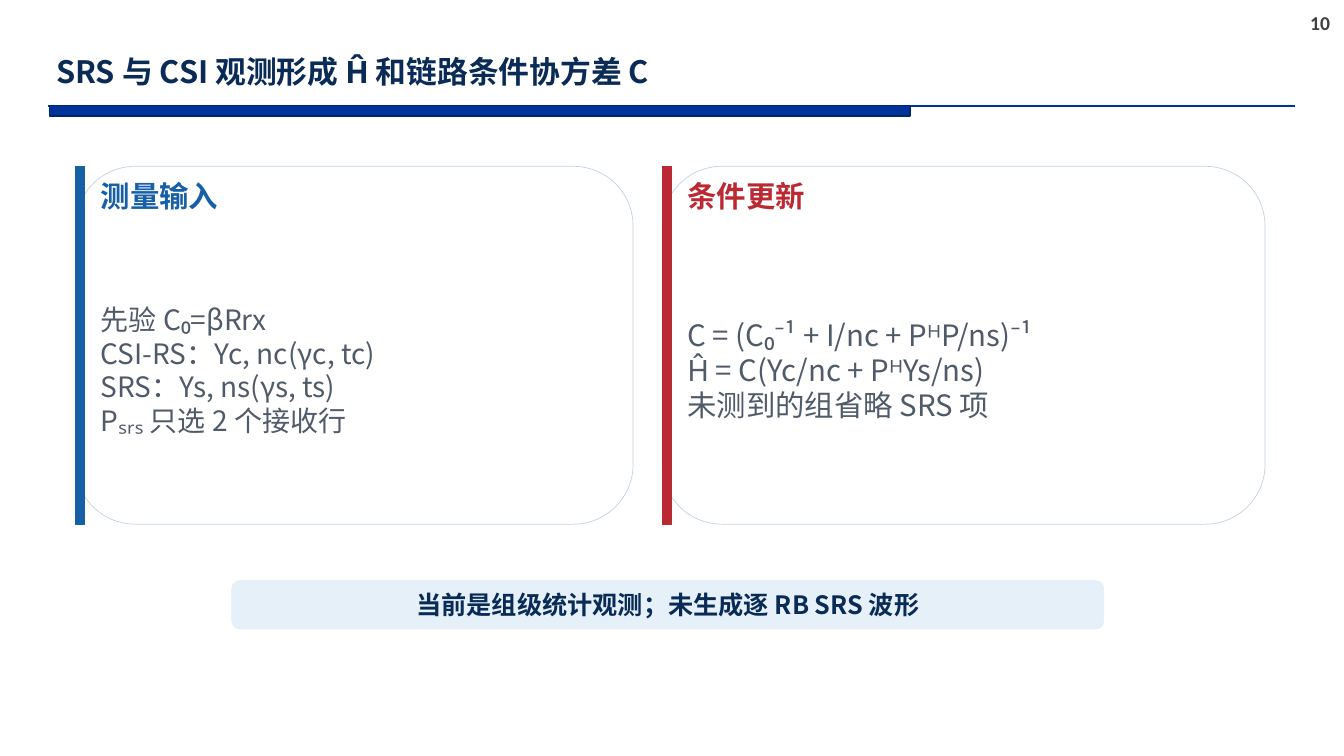
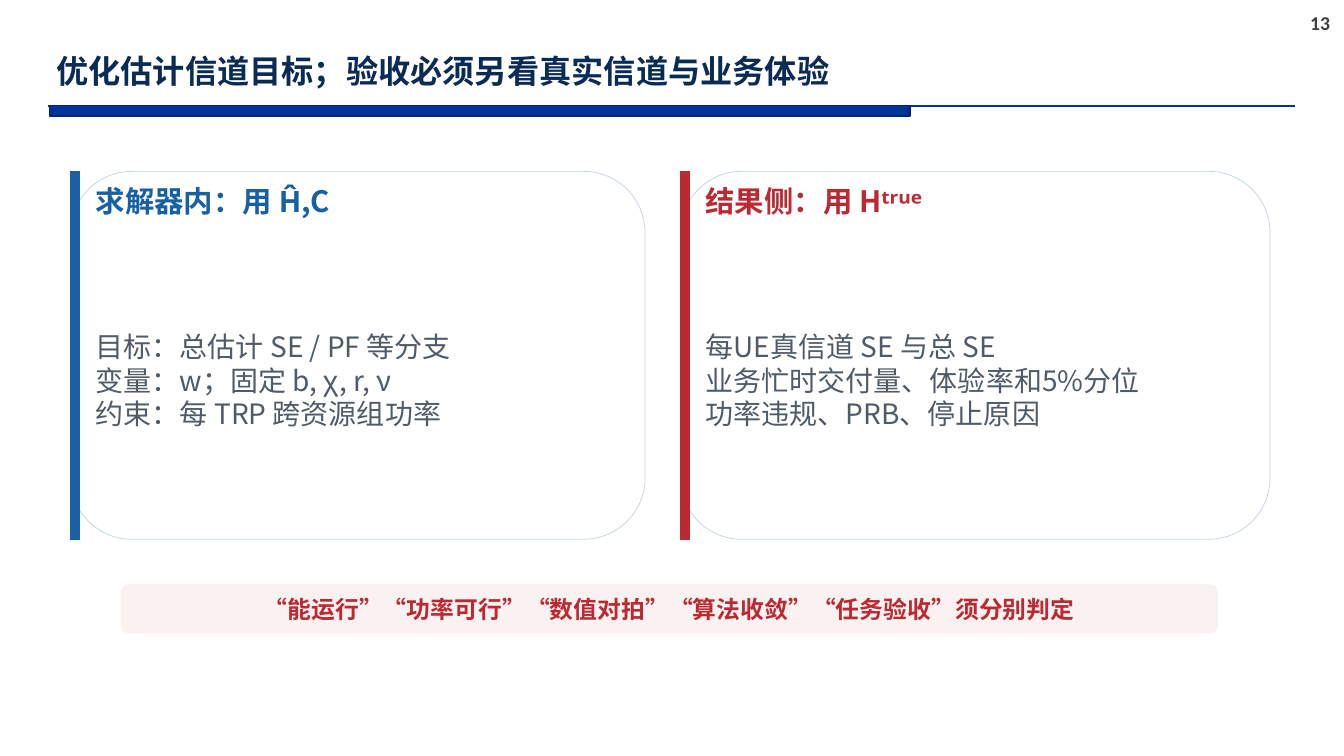
import pptx
import pptx.util
import pptx.dml.color
import pptx.enum.shapes
import pptx.enum.text
import lxml.etree
import pptx.oxml.ns

Pt = pptx.util.Pt
Shape = pptx.enum.shapes.MSO_SHAPE
Anchor = pptx.enum.text.MSO_ANCHOR
Align = pptx.enum.text.PP_ALIGN
qn = pptx.oxml.ns.qn

CJK_FONT = "Noto Sans CJK SC"
NUMBER_FONT = "Calibri"
NAVY = "092B56"
BLUE = "1860A6"
RED = "BB2A33"
SLATE = "4F5B69"
GRAY = "404040"
BAND = "003399"
BAND_EDGE = "002671"
CARD_EDGE = "C2D3E1"
WHITE = "FFFFFF"
PALE_BLUE = "E5F0F9"
PALE_RED = "FAF1F1"

ACCENT_WIDTH = 6.5
CARD_INDENT = 14.4
BANNER_HEIGHT = 34.6


def paint(color_format, value):
    color_format.rgb = pptx.dml.color.RGBColor.from_string(value)


def add_block(page, kind, left, top, width, height, fill, edge, weight=0.5):
    block = page.shapes.add_shape(kind, Pt(left), Pt(top), Pt(width), Pt(height))
    block.shadow.inherit = False
    block.fill.solid()
    paint(block.fill.fore_color, fill)
    paint(block.line.color, edge)
    block.line.width = Pt(weight)
    return block


def add_text(page, left, top, width, height, lines, size, color, font=CJK_FONT,
             bold=False, align=Align.LEFT, anchor=Anchor.MIDDLE, wrap=True,
             inset=3.6, spacing=None):
    box = page.shapes.add_textbox(Pt(left), Pt(top), Pt(width), Pt(height))
    frame = box.text_frame
    frame.word_wrap = wrap
    frame.auto_size = pptx.enum.text.MSO_AUTO_SIZE.SHAPE_TO_FIT_TEXT
    frame.vertical_anchor = anchor
    if inset is not None:
        frame.margin_left = frame.margin_right = Pt(inset)
        frame.margin_top = frame.margin_bottom = Pt(inset)
    for index, line in enumerate(lines):
        para = frame.add_paragraph() if index else frame.paragraphs[0]
        para.alignment = align
        if spacing:
            para.line_spacing = spacing
        span = para.add_run()
        span.text = line
        span.font.size = Pt(size)
        span.font.bold = bold
        span.font.name = font
        paint(span.font.color, color)
        east_asian = lxml.etree.SubElement(span.font._element, qn("a:ea"))
        east_asian.set("typeface", font)
    return box


def add_header(page, title, title_size, number):
    rule = page.shapes.add_connector(
        pptx.enum.shapes.MSO_CONNECTOR.STRAIGHT,
        Pt(34.6), Pt(75.6), Pt(925.2), Pt(75.6))
    paint(rule.line.color, BAND)
    rule.line.width = Pt(1.5)
    lxml.etree.SubElement(rule._element.spPr, qn("a:effectLst"))
    add_block(page, Shape.RECTANGLE, 35.3, 75.6, 614.9, 7.2, BAND, BAND_EDGE, 1)
    add_text(page, 928.8, 4.3, 28.8, 24.5, [number], 14, GRAY, font=NUMBER_FONT,
             bold=True, anchor=Anchor.TOP, wrap=False, inset=None)
    add_text(page, 33.1, 28.8, 680.4, 46.8, [title], title_size, NAVY,
             bold=True, wrap=False, inset=None, spacing=0.9)


def add_card(page, left, top, width, height, accent, heading, lines, size=20):
    add_block(page, Shape.ROUNDED_RECTANGLE, left, top, width, height, WHITE, CARD_EDGE)
    add_block(page, Shape.RECTANGLE, left, top, ACCENT_WIDTH, height, accent, accent)
    text_left = left + CARD_INDENT
    text_width = width - 25
    add_text(page, text_left, top + 7.9, text_width, 26.6, [heading], 21, accent, bold=True)
    add_text(page, text_left, top + 42.5, text_width, height - 49.7, lines, size, SLATE)


def add_banner(page, left, top, width, fill, text, size, color):
    add_block(page, Shape.ROUNDED_RECTANGLE, left, top, width, BANNER_HEIGHT, fill, fill)
    add_text(page, left + 4.3, top + 3.1, width - 8.6, BANNER_HEIGHT - 6.2, [text],
             size, color, bold=True, align=Align.CENTER)


def add_page(deck, title, title_size, number):
    page = deck.slides.add_slide(deck.slide_layouts[6])
    add_header(page, title, title_size, number)
    return page


def build_observation(deck):
    page = add_page(deck, "SRS 与 CSI 观测形成 Ĥ 和链路条件协方差 C", 22, "10")
    top, height = 118.8, 255.6
    add_card(page, 54, top, 398.2, height, BLUE, "测量输入", [
        "先验 C₀=βRrx",
        "CSI-RS：Yc, nc(γc, tc)",
        "SRS：Ys, ns(γs, ts)",
        "Pₛᵣₛ 只选 2 个接收行",
    ])
    add_card(page, 473, top, 430.6, height, RED, "条件更新", [
        "C = (C₀⁻¹ + I/nc + PᴴP/ns)⁻¹",
        "Ĥ = C(Yc/nc + PᴴYs/ns)",
        "未测到的组省略 SRS 项",
    ], size=21)
    add_banner(page, 165.6, 414.7, 622.8, PALE_BLUE,
               "当前是组级统计观测；未生成逐 RB SRS 波形", 18, NAVY)


def build_acceptance(deck):
    page = add_page(deck, "优化估计信道目标；验收必须另看真实信道与业务体验", 23, "13")
    top, height = 122.4, 262.8
    add_card(page, 50.4, top, 410.4, height, BLUE, "求解器内：用 Ĥ,C", [
        "目标：总估计 SE / PF 等分支",
        "变量：w；固定 b, χ, r, ν",
        "约束：每 TRP 跨资源组功率",
    ])
    add_card(page, 486, top, 421.2, height, RED, "结果侧：用 Hᵗʳᵘᵉ", [
        "每UE真信道 SE 与总 SE",
        "业务忙时交付量、体验率和5%分位",
        "功率违规、PRB、停止原因",
    ])
    add_banner(page, 86.4, 417.6, 783.4, PALE_RED,
               "“能运行”“功率可行”“数值对拍”“算法收敛”“任务验收”须分别判定", 17, RED)


def main():
    deck = pptx.Presentation()
    deck.slide_width = Pt(960)
    deck.slide_height = Pt(540)
    build_observation(deck)
    build_acceptance(deck)
    deck.save("out.pptx")


if __name__ == "__main__":
    main()
